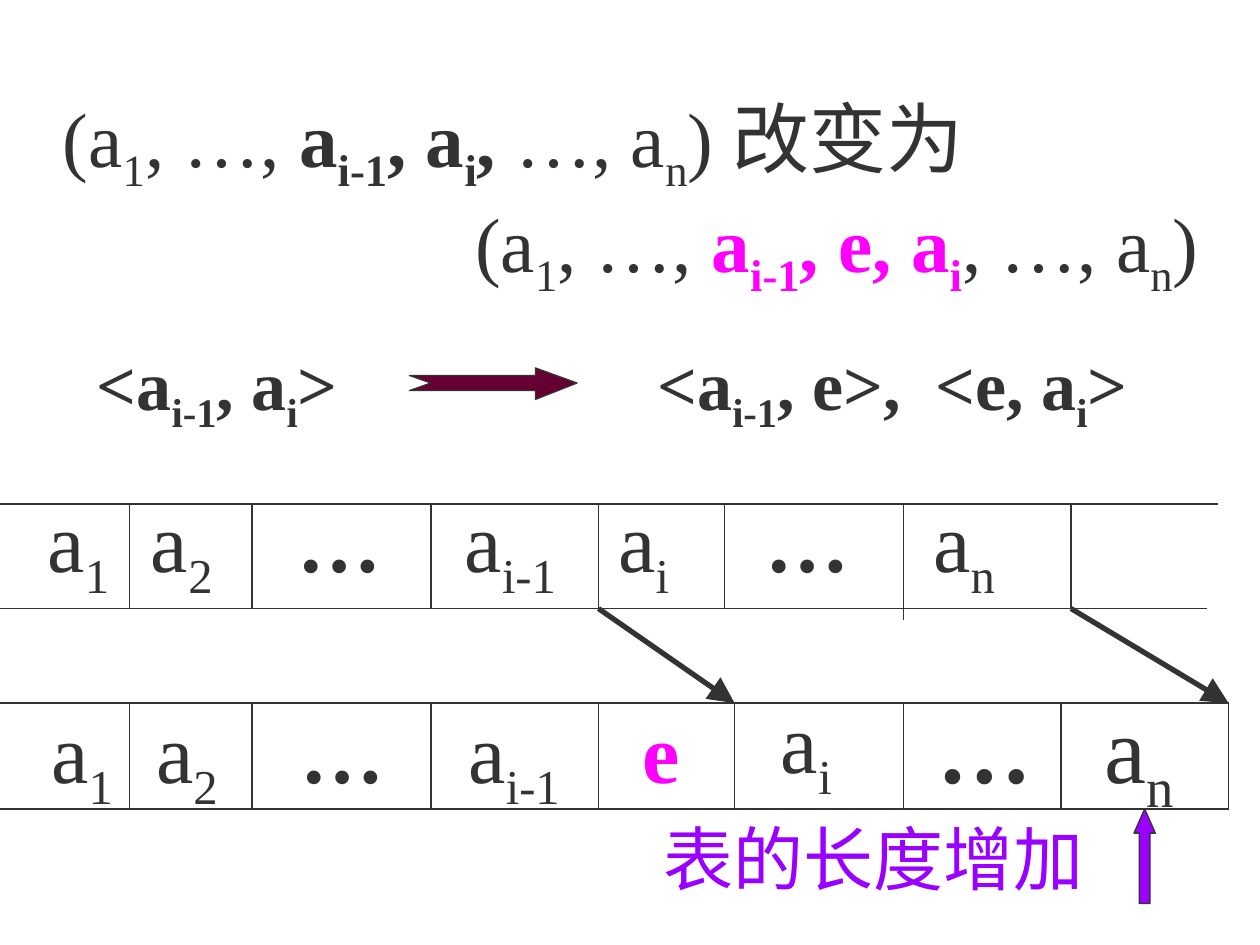
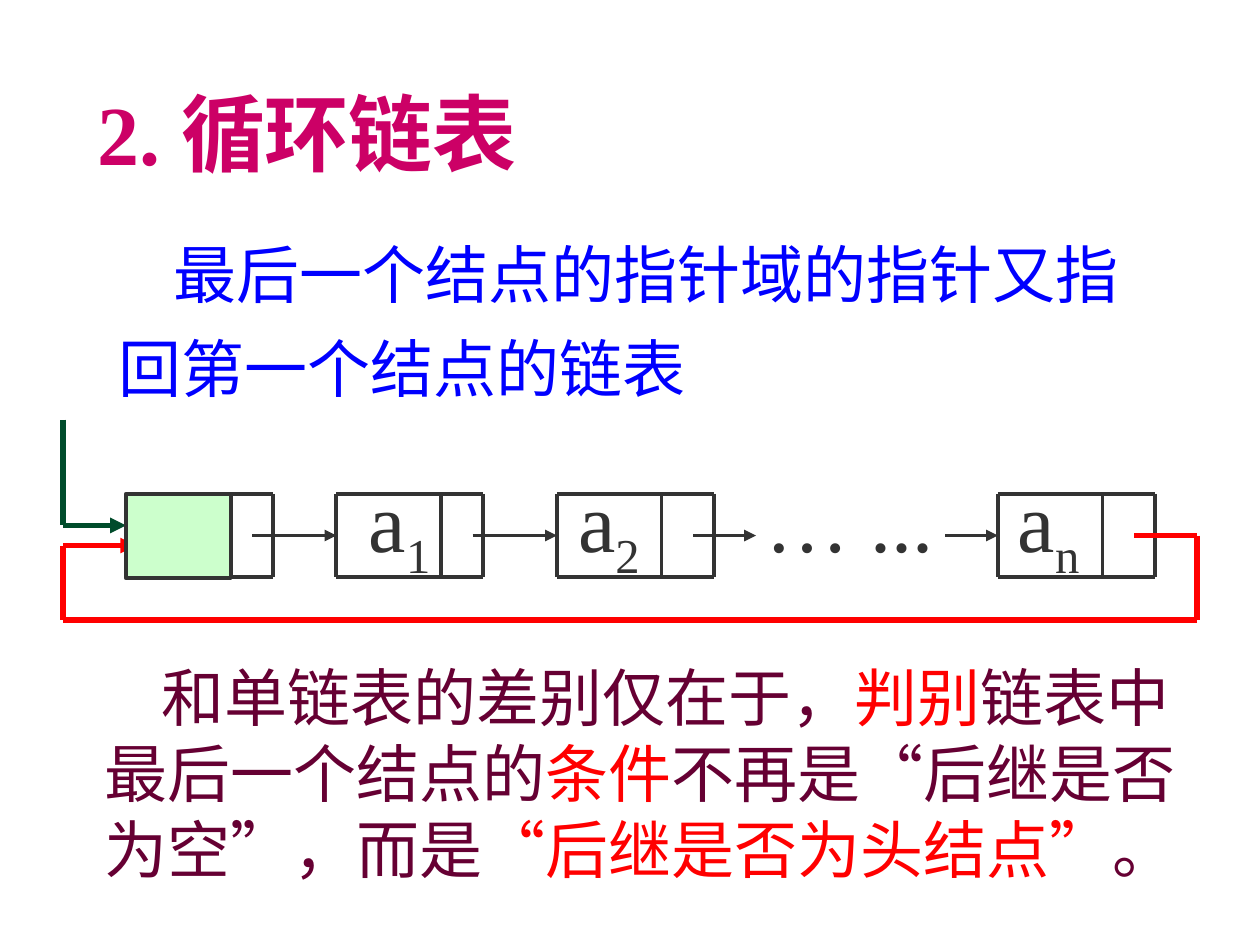
from itertools import pairwise
from pptx import Presentation
from pptx import util as u
from pptx.dml.color import RGBColor
from pptx.enum import shapes, text
from pptx.oxml.ns import qn
from lxml import etree

HUE = {"ink": "333333", "pink": "FF00FF", "wine": "660033", "violet": "9900FF",
       "blue": "0000FF", "red": "FF0000", "rose": "CC0066", "pine": "004C2B",
       "mint": "CCFFCC"}
FONT = "Times New Roman"
INSET = 0.1

CHANGE = [
    [("(a_1_, …, ", "ink", False), ("a_i-1_, a_i_, ", "ink", True),
     ("…, a_n_) 改变为", "ink", False)],
    [("(a_1_, …,", "ink", False), (" a_i-1_, e, a_i_", "pink", True),
     (", …, a_n_)", "ink", False)],
]
PAIRS = [(0.67, 2.3, "<a_i-1_, a_i_>"), (5.12, 4.2, "<a_i-1_, e>,  <e, a_i_>")]

OLD = {"top": 4, "base": 4.83, "ends": (9.67, 9.58),
       "walls": [1.03, 2, 3.42, 4.75, 5.75, 7.17, 8.5]}
NEW = {"top": 5.58, "base": 6.42, "ends": (9.75, 9.75),
       "walls": [1.03, 2, 3.42, 4.75, 5.83, 7.17, 8.42, 9.75]}
CELLS = [
    (3.83, 48, [(0.38, "a_1"), (1.2, "a_2"), (2.36, "…"), (3.69, "a_i-1"),
                (4.91, "a_i"), (6.08, "…"), (7.41, "a_n")]),
    (5.5, 48, [(0.41, "a_1"), (1.24, "a_2"), (2.39, "…"), (3.72, "a_i-1"),
               (5.1, "e")]),
    (5.42, 48, [(6.2, "a_i")]),
    (5.42, 54, [(7.44, "…"), (8.77, "a_n")]),
]
SHIFTS = [(4.75, 5.83), (8.5, 9.75)]
DART = [(3.25, 2.98), (4.25, 2.98), (4.25, 2.92), (4.58, 3.04), (4.25, 3.17),
        (4.25, 3.1), (3.25, 3.1), (3.42, 3.04)]

LEAD = "最后一个结点的指针域的指针又指回第一个结点的链表"
NOTE = [("和单链表的差别仅在于，", "wine", False), ("判别", "red", False),
        ("链表中最后一个结点的", "wine", False), ("条件", "red", False),
        ("不再是“后继是否为空”，而是", "wine", False),
        ("“后继是否为头结点”", "red", False), ("。", "wine", False)]
NODES = [(1, 2.17), (2.67, 3.83), (4.42, 5.67), (7.92, 9.17)]
SPLIT = 0.83
LABELS = [(2.93, 1.2, "a_1"), (4.59, 1.2, "a_2"), (6.08, 1.8, "… ..."),
          (8.08, 1.2, "a_n")]
LINKS = [(2, 2.67), (3.75, 4.42), (5.5, 6), (7.5, 7.92)]
ENTRY = [(0.5, 3.33), (0.5, 4.17), (1, 4.17)]
LOOP = [(9, 4.25), (9.5, 4.25), (9.5, 4.92), (0.5, 4.92), (0.5, 4.33), (1.08, 4.33)]


def rgb(name):
    return RGBColor.from_string(HUE[name])


def write(par, parts, size):
    for line, hue, bold in parts:
        for i, bit in enumerate(line.split("_")):
            if not bit:
                continue
            run = par.add_run()
            run.text = bit
            font = run.font
            font.name, font.size, font.bold = FONT, u.Pt(size), bold
            font.color.rgb = rgb(hue)
            if i % 2:
                run._r.get_or_add_rPr().set("baseline", "-25000")


def label(slide, left, top, wide, high, rows, size, indent=0):
    box = slide.shapes.add_textbox(*map(u.Inches, (left, top, wide, high)))
    frame = box.text_frame
    frame.word_wrap = True
    for i, parts in enumerate(rows):
        par = frame.add_paragraph() if i else frame.paragraphs[0]
        if indent:
            par._p.get_or_add_pPr().set("indent", str(u.Inches(indent)))
        write(par, parts, size)
    return frame.paragraphs


def line(slide, start, end, hue="ink", width=0.75, head=None):
    link = slide.shapes.add_connector(
        shapes.MSO_CONNECTOR.STRAIGHT, *map(u.Inches, (*start, *end)))
    link.line.color.rgb = rgb(hue)
    link.line.width = u.Pt(width)
    if head:
        etree.SubElement(link.line._get_or_add_ln(), qn("a:tailEnd"),
                         type="triangle", w=head, len=head)
    etree.SubElement(link._element.spPr, qn("a:effectLst"))


def route(slide, points, hue):
    legs = list(pairwise(points))
    for i, (start, end) in enumerate(legs, 1):
        line(slide, start, end, hue, 3, "med" if i == len(legs) else None)


def paint(shape, fill, width=0.75):
    shape.shadow.inherit = False
    shape.fill.solid()
    shape.fill.fore_color.rgb = rgb(fill)
    shape.line.color.rgb = rgb("ink")
    shape.line.width = u.Pt(width)


def strip(slide, row):
    top, base = row["top"], row["base"]
    for y, end in zip((top, base), row["ends"]):
        line(slide, (0, y), (end, y))
    for wall in row["walls"]:
        line(slide, (wall, top), (wall, base))


def insert(deck):
    slide = deck.slides.add_slide(deck.slide_layouts[6])
    pars = label(slide, 0.4, 0.67, 9.21, 1.77, CHANGE, 44)
    pars[1].alignment = text.PP_ALIGN.RIGHT
    for left, wide, pair in PAIRS:
        label(slide, left, 2.65, wide, 0.86, [[(pair, "ink", True)]], 40)
    for row in (OLD, NEW):
        strip(slide, row)
    line(slide, (7.17, OLD["base"]), (7.17, 4.92))
    for top, size, cells in CELLS:
        for left, cell in cells:
            hue = "pink" if cell == "e" else "ink"
            parts = [(cell, hue, cell in "…e")]
            label(slide, left - INSET, top, 1.2, 1, [parts], size)
    for start, end in SHIFTS:
        line(slide, (start, OLD["base"]), (end, NEW["top"]), "ink", 3, "lg")
    first, *rest = [(u.Inches(x), u.Inches(y)) for x, y in DART]
    dart = slide.shapes.build_freeform(*first)
    dart.add_line_segments(rest, close=True)
    paint(dart.convert_to_shape(), "wine")
    label(slide, 5.17, 6.42, 3.7, 0.77, [[("表的长度增加", "violet", False)]], 40)
    mark = slide.shapes.add_shape(
        shapes.MSO_SHAPE.UP_ARROW, *map(u.Inches, (9, 6.42, 0.17, 0.75)))
    mark.adjustments[1] = 1.13
    paint(mark, "violet")


def circle(deck):
    slide = deck.slides.add_slide(deck.slide_layouts[5])
    title = slide.shapes.title
    title.left, title.top, title.width, title.height = map(
        u.Inches, (0.67, 0.6, 4.2, 0.9))
    frame = title.text_frame
    frame.auto_size = text.MSO_AUTO_SIZE.NONE
    frame.vertical_anchor = text.MSO_ANCHOR.TOP
    frame.paragraphs[0].alignment = text.PP_ALIGN.LEFT
    write(frame.paragraphs[0], [("2. 循环链表", "rose", True)], 48)
    pars = label(slide, 0.84, 1.67, 8.25, 1.6, [[(LEAD, "blue", False)]], 36, 0.44)
    pars[0].line_spacing = 1.25
    for left, wide, name in LABELS:
        label(slide, left - INSET, 3.67, wide, 1, [[(name, "ink", False)]], 48)
    top, base = 3.92, 4.58
    for left, right in NODES:
        for y in (top, base):
            line(slide, (left, y), (right, y), width=2.25)
        for wall in (left, left + SPLIT, right):
            line(slide, (wall, top), (wall, base), width=2.25)
    for start, end in LINKS:
        line(slide, (start, 4.25), (end, 4.25), width=2.25, head="med")
    route(slide, ENTRY, "pine")
    route(slide, LOOP, "red")
    first = slide.shapes.add_shape(
        shapes.MSO_SHAPE.RECTANGLE, *map(u.Inches, (1, top, SPLIT, 0.67)))
    paint(first, "mint", 2.25)
    label(slide, 0.73, 5.18, 8.93, 1.9, [NOTE], 36, 0.45)


def main():
    deck = Presentation()
    deck.slide_width, deck.slide_height = u.Inches(10), u.Inches(7.5)
    insert(deck)
    circle(deck)
    deck.save("out.pptx")


if __name__ == "__main__":
    main()
